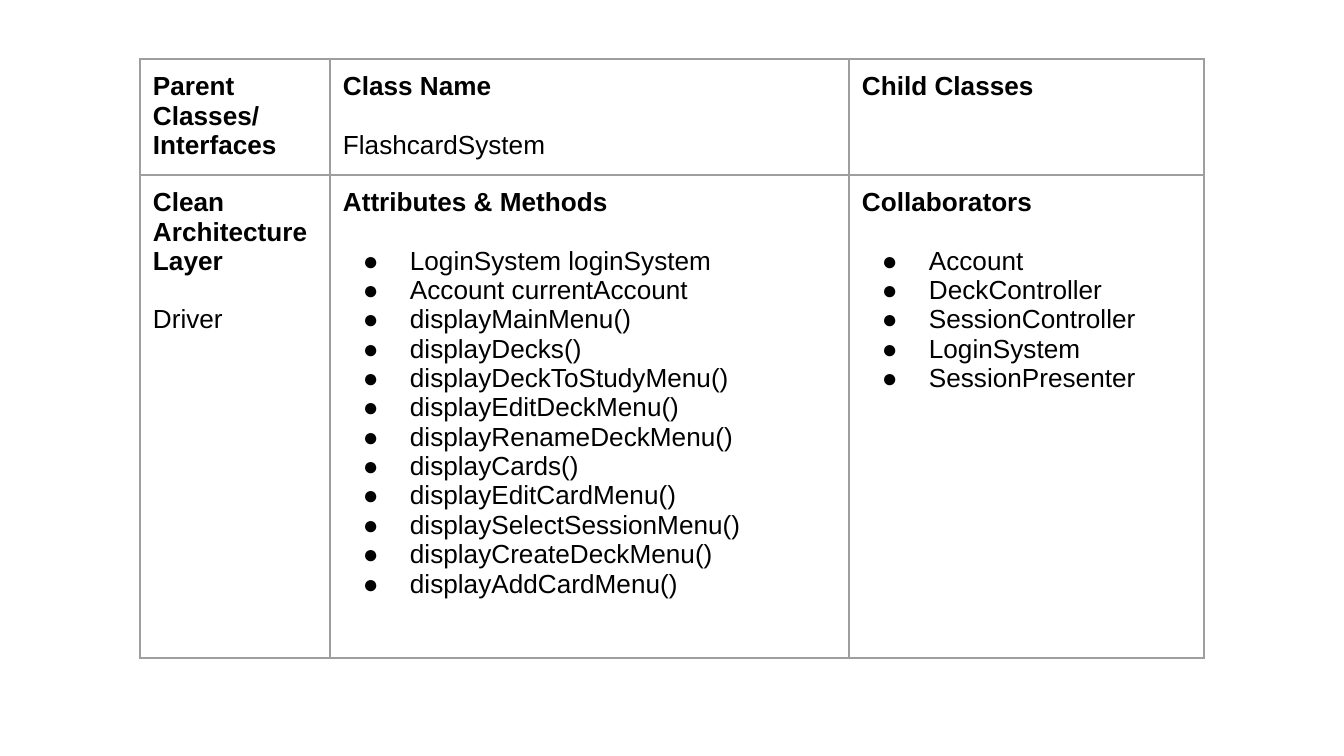
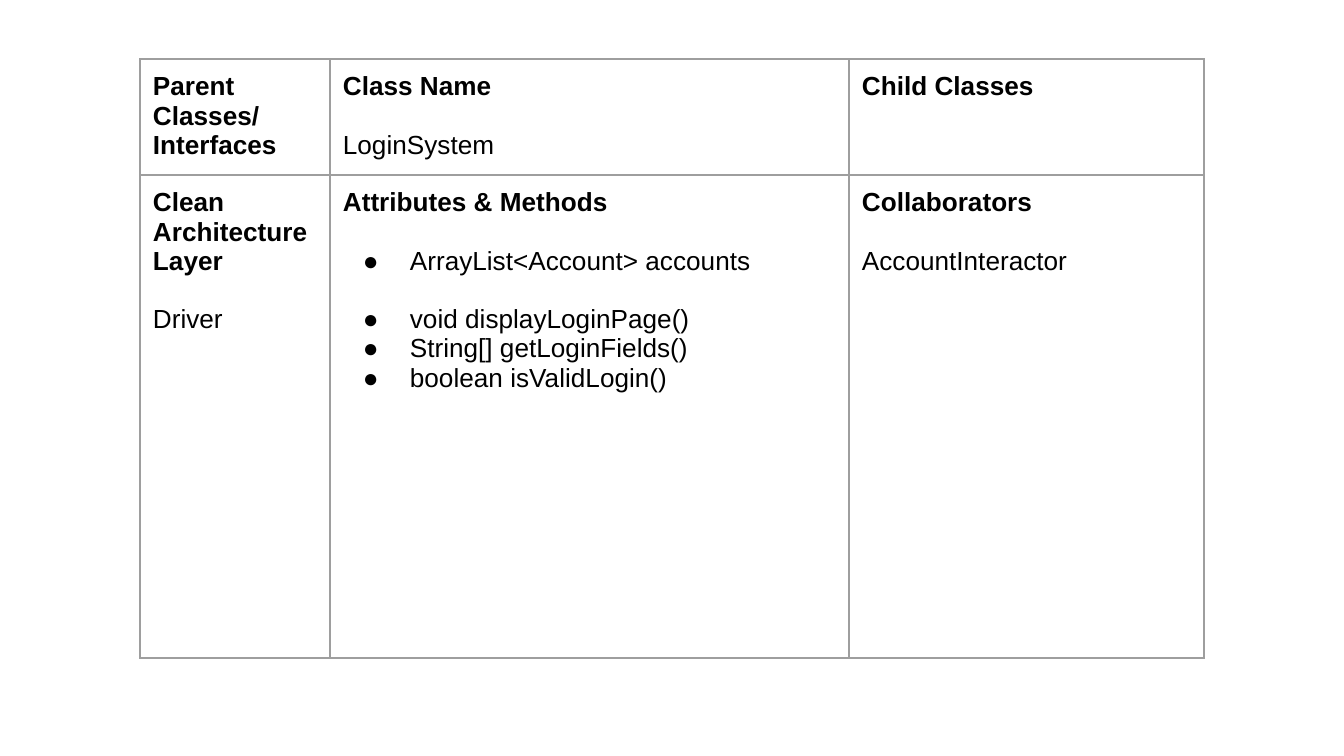
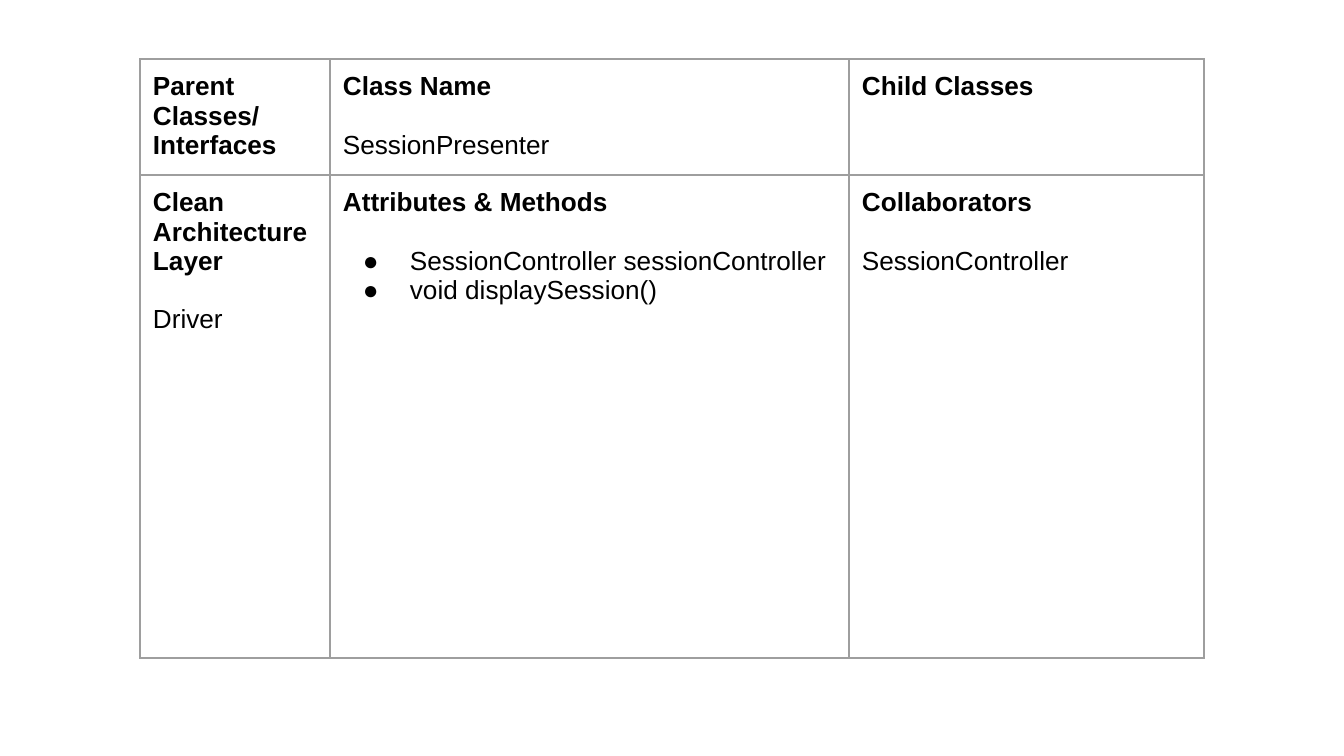
"""Build three class cards, each a table of a class, its members and its collaborators."""
from lxml.etree import SubElement
from pptx import Presentation
from pptx.dml.color import RGBColor
from pptx.oxml.ns import qn
from pptx.util import Pt

SCALE = 914400 / 134.4
INK = "000000"
RULE = "9E9E9E"
FONT = "Arial"
INSET = 13
LINE_GAP = 29
BULLET_LEFT, BULLET_HANG = 67, -47
COLUMN_WIDTHS = [190, 519, 355]
ROW_HEIGHTS = [116, 483]

CARDS = [
    ("FlashcardSystem",
     [["LoginSystem loginSystem", "Account currentAccount", "displayMainMenu()",
       "displayDecks()", "displayDeckToStudyMenu()", "displayEditDeckMenu()",
       "displayRenameDeckMenu()", "displayCards()", "displayEditCardMenu()",
       "displaySelectSessionMenu()", "displayCreateDeckMenu()", "displayAddCardMenu()"]],
     ["Account", "DeckController", "SessionController", "LoginSystem", "SessionPresenter"]),
    ("LoginSystem",
     [["ArrayList<Account> accounts"],
      ["void displayLoginPage()", "String[] getLoginFields()", "boolean isValidLogin()"]],
     ["AccountInteractor"]),
    ("SessionPresenter",
     [["SessionController sessionController", "void displaySession()"]],
     ["SessionController"]),
]


def px(count):
    return round(count * SCALE)


def color(value):
    return RGBColor.from_string(value)


deck = Presentation()
deck.slide_width, deck.slide_height = px(1344), px(756)

for class_name, members, collaborators in CARDS:
    slide = deck.slides.add_slide(deck.slide_layouts[6])
    card = slide.shapes.add_table(2, 3, px(140), px(59),
                                  px(sum(COLUMN_WIDTHS)), px(sum(ROW_HEIGHTS))).table
    card.first_row = card.horz_banding = False
    for column, width in zip(card.columns, COLUMN_WIDTHS):
        column.width = px(width)
    for row, height in zip(card.rows, ROW_HEIGHTS):
        row.height = px(height)

    sections = [
        (["Parent Classes/", "Interfaces"], [], False),
        (["Class Name"], [[class_name]], False),
        (["Child Classes"], [], False),
        (["Clean Architecture Layer"], [["Driver"]], False),
        (["Attributes & Methods"], members, True),
        (["Collaborators"], [collaborators], len(collaborators) > 1),
    ]
    for cell, (heading, groups, bulleted) in zip(card.iter_cells(), sections):
        cell.margin_left = cell.margin_right = px(INSET)
        cell.margin_top = cell.margin_bottom = px(INSET)
        borders = cell._tc.get_or_add_tcPr()
        for side in ("a:lnL", "a:lnR", "a:lnT", "a:lnB"):
            border = SubElement(borders, qn(side), w=str(Pt(0.75)))
            SubElement(SubElement(border, qn("a:solidFill")), qn("a:srgbClr"), val=RULE)
        cell.fill.background()

        paragraph = cell.text_frame.paragraphs[0]
        for block_index, block in enumerate([heading, *groups]):
            for line_index, line in enumerate(block):
                if block_index or line_index:
                    paragraph = cell.text_frame.add_paragraph()
                if block_index and not line_index:
                    paragraph.space_before = px(LINE_GAP)
                if block_index and bulleted:
                    layout = paragraph._p.get_or_add_pPr()
                    layout.set("marL", str(px(BULLET_LEFT)))
                    layout.set("indent", str(px(BULLET_HANG)))
                    SubElement(SubElement(layout, qn("a:buClr")), qn("a:srgbClr"), val=INK)
                    SubElement(layout, qn("a:buFont"), typeface=FONT)
                    SubElement(layout, qn("a:buChar"), char="●")
                run = paragraph.add_run()
                run.text = line
                run.font.name = FONT
                run.font.size = Pt(14)
                run.font.bold = block_index == 0
                run.font.color.rgb = color(INK)

deck.save("out.pptx")
